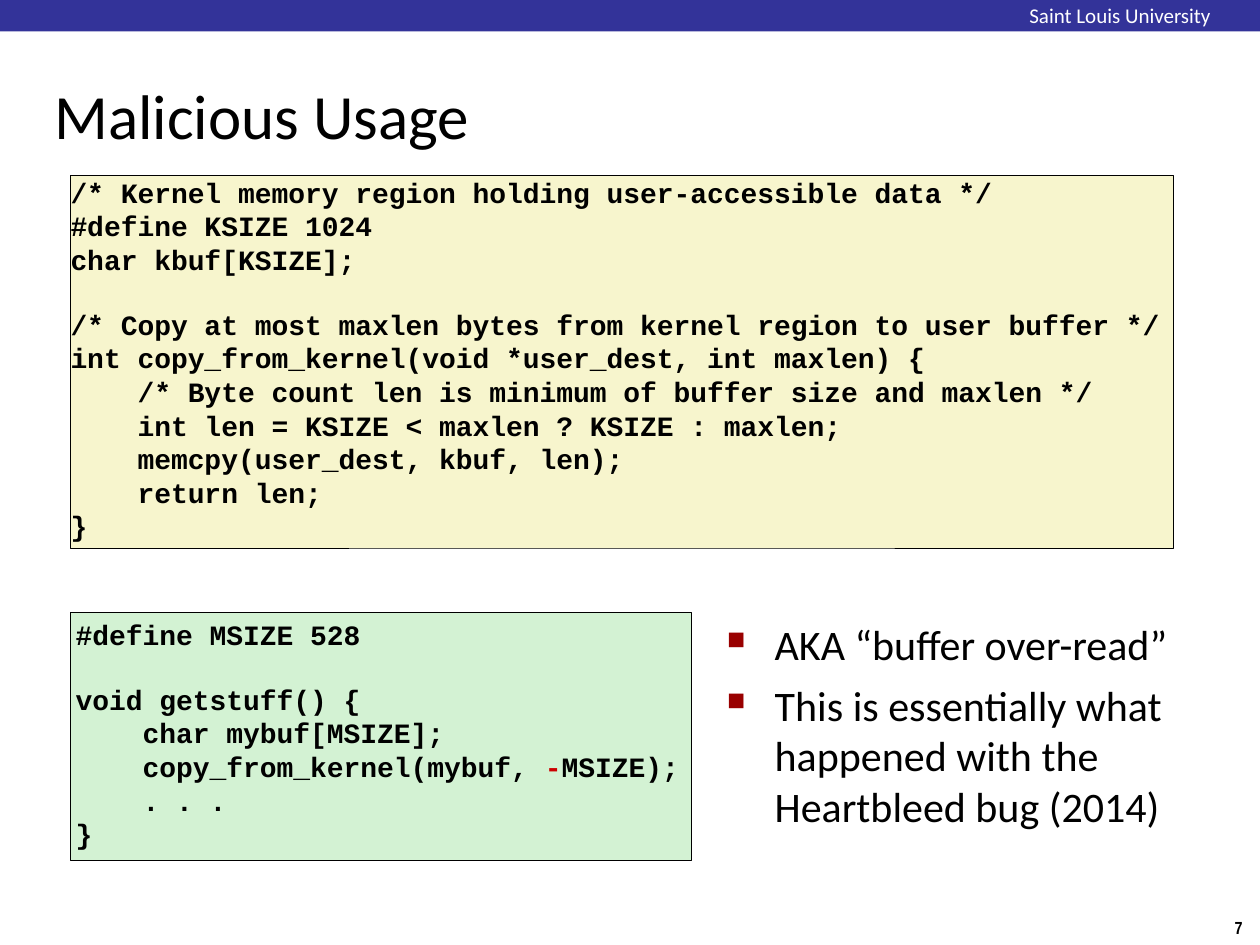
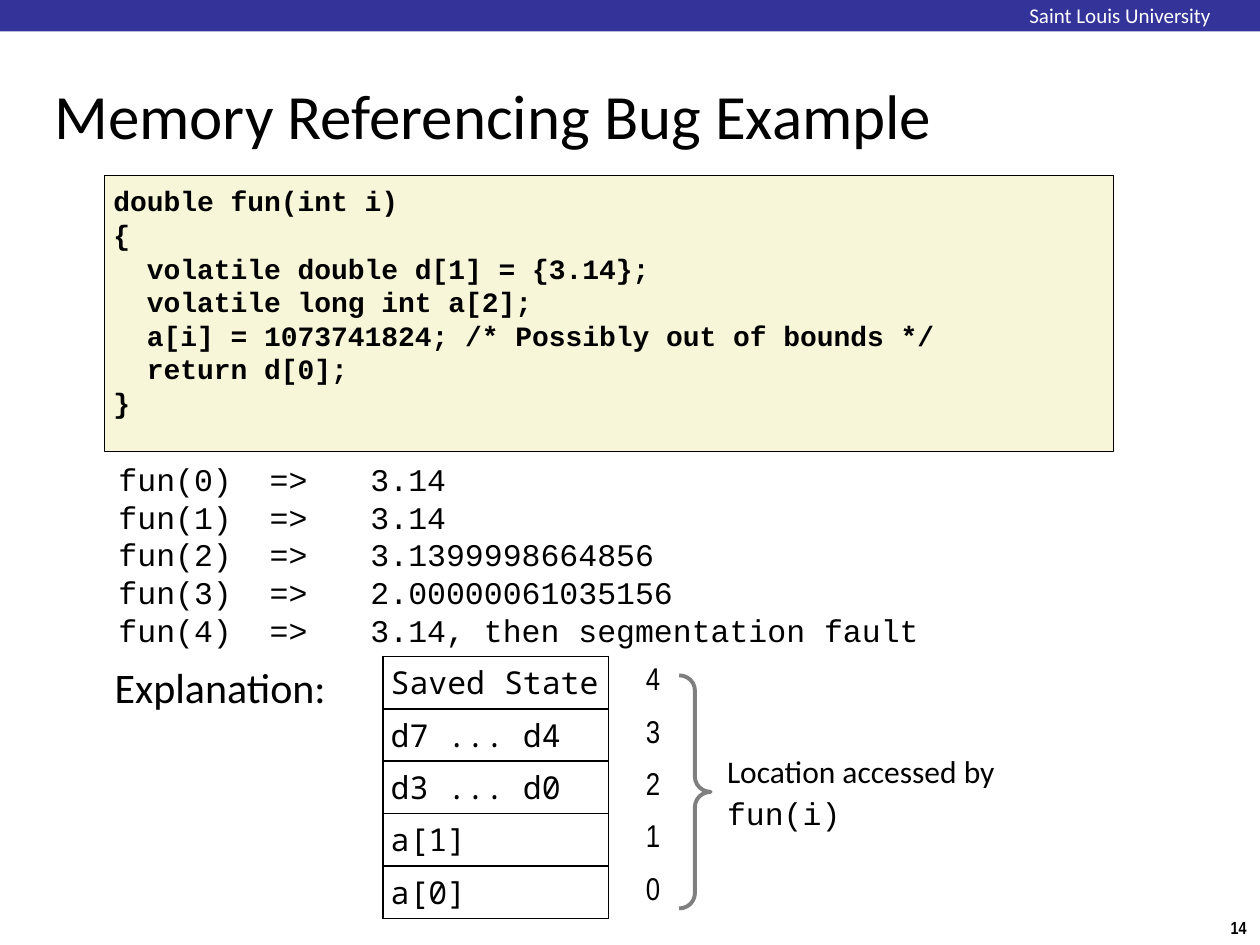
from dataclasses import dataclass
from typing import Optional

from lxml import etree
from pptx import Presentation
from pptx import util as u
from pptx.dml.color import RGBColor
from pptx.enum import shapes, text
from pptx.oxml import ns


@dataclass(frozen=True)
class Theme:
    ink: str = "000000"
    white: str = "FFFFFF"
    band: str = "333399"
    kernel: str = "F7F5CD"
    user: str = "D3F2D3"
    example: str = "F8F6D9"
    alert: str = "CC0000"
    bullet: str = "990000"
    brace: str = "7F7F7F"
    sans: str = "Calibri"
    narrow: str = "Arial Narrow"
    code: str = "Courier New"
    mono: str = "Noto Sans Mono"
    title_pt: int = 36
    body_pt: int = 24
    label_pt: int = 18
    code_pt: int = 16
    header_pt: int = 12
    number_pt: int = 10


T = Theme()


@dataclass(frozen=True)
class Style:
    size: int
    font: str = T.sans
    color: str = T.ink
    bold: bool = False


TITLE = Style(T.title_pt)
BODY = Style(T.body_pt)
LABEL = Style(T.label_pt)
HEADER = Style(T.header_pt, color=T.white)
NUMBER = Style(T.number_pt, T.narrow, bold=True)
CODE = Style(T.code_pt, T.code, bold=True)
ALERT = Style(T.code_pt, T.code, T.alert, True)
OUTPUT = Style(T.label_pt, T.code)
CELL = Style(T.label_pt, T.mono)
INDEX = Style(T.label_pt, T.narrow)


@dataclass(frozen=True)
class Box:
    left: float
    top: float
    width: float
    height: float

    def place(self):
        return [u.Inches(v) for v in (self.left, self.top, self.width, self.height)]


@dataclass(frozen=True)
class Panel:
    box: Box
    fill: str
    inset: float
    source: str
    outlined: bool = True
    style: Style = CODE
    marker: Optional[str] = None


KERNEL_CODE = """/* Kernel memory region holding user-accessible data */
#define KSIZE 1024
char kbuf[KSIZE];

/* Copy at most maxlen bytes from kernel region to user buffer */
int copy_from_kernel(void *user_dest, int maxlen) {
    /* Byte count len is minimum of buffer size and maxlen */
    int len = KSIZE < maxlen ? KSIZE : maxlen;
    memcpy(user_dest, kbuf, len);
    return len;
}"""

USER_CODE = """#define MSIZE 528

void getstuff() {
    char mybuf[MSIZE];
    copy_from_kernel(mybuf, -MSIZE);
    . . .
}"""

FUN_CODE = """double fun(int i)
{
  volatile double d[1] = {3.14};
  volatile long int a[2];
  a[i] = 1073741824; /* Possibly out of bounds */
  return d[0];
}"""

FUN_RESULTS = ("3.14", "3.14", "3.1399998664856", "2.00000061035156",
               "3.14, then segmentation fault")
FUN_OUTPUT = "\n".join(f"fun({i})  =>\t{result}" for i, result in enumerate(FUN_RESULTS))

STACK = ("Saved State", "d7 ... d4", "d3 ... d0", "a[1]", "a[0]")


def add_run(p, words: str, style: Style) -> None:
    r = p.add_run()
    r.text = words
    r.font.size = u.Pt(style.size)
    r.font.name = style.font
    r.font.bold = style.bold
    r.font.color.rgb = RGBColor.from_string(style.color)


def set_frame(tf, inset: float, anchor=text.MSO_ANCHOR.TOP, wrap: bool = True) -> None:
    tf.word_wrap = wrap
    tf.auto_size = text.MSO_AUTO_SIZE.NONE
    tf.vertical_anchor = anchor
    tf.margin_left = tf.margin_right = u.Inches(inset)
    tf.margin_top = tf.margin_bottom = u.Inches(inset)


def set_indent(p, inches: float) -> None:
    pr = p._p.get_or_add_pPr()
    pr.set("marL", str(u.Inches(inches)))
    pr.set("indent", str(-u.Inches(inches)))


def add_child(parent, tag: str, **attrs: str):
    return etree.SubElement(parent, ns.qn(tag), attrs)


def add_bullet(p) -> None:
    pr = p._p.get_or_add_pPr()
    add_child(add_child(pr, "a:buClr"), "a:srgbClr", val=T.bullet)
    add_child(pr, "a:buSzPct", val="60000")
    add_child(pr, "a:buChar", char="■")


def add_text(s, box: Box, words: str, style: Style, inset: float = 0.0,
             align=text.PP_ALIGN.LEFT, wrap: bool = True):
    tf = s.shapes.add_textbox(*box.place()).text_frame
    set_frame(tf, inset, wrap=wrap)
    p = tf.paragraphs[0]
    p.alignment = align
    add_run(p, words, style)
    return p


def add_rect(s, box: Box, fill: str, outlined: bool = False):
    sp = s.shapes.add_shape(shapes.MSO_SHAPE.RECTANGLE, *box.place())
    sp.shadow.inherit = False
    sp.fill.solid()
    sp.fill.fore_color.rgb = RGBColor.from_string(fill)
    if outlined:
        sp.line.color.rgb = RGBColor.from_string(T.ink)
        sp.line.width = u.Pt(0.5)
    else:
        sp.line.fill.background()
    return sp


def add_panel(s, panel: Panel) -> None:
    tf = add_rect(s, panel.box, panel.fill, panel.outlined).text_frame
    set_frame(tf, panel.inset)
    p, gap = tf.paragraphs[0], 0
    for i, line in enumerate(panel.source.split("\n")):
        if not line:
            gap = 18
            continue
        if i:
            p = tf.add_paragraph()
        p.alignment = text.PP_ALIGN.LEFT
        if gap:
            p.space_before = u.Pt(gap)
            gap = 0
        if panel.marker and panel.marker in line:
            before, after = line.split(panel.marker)
            add_run(p, before, panel.style)
            add_run(p, panel.marker, ALERT)
            add_run(p, after, panel.style)
        else:
            add_run(p, line, panel.style)


def add_bullets(s, box: Box, items: tuple[str, ...]) -> None:
    tf = s.shapes.add_textbox(*box.place()).text_frame
    set_frame(tf, 0.05)
    tf.margin_left = tf.margin_right = u.Inches(0.1)
    for i, item in enumerate(items):
        p = tf.add_paragraph() if i else tf.paragraphs[0]
        set_indent(p, 0.38)
        add_bullet(p)
        if i:
            p.space_before = u.Pt(6)
        add_run(p, item, BODY)


def set_borders(cell, visible: str) -> None:
    pr = cell._tc.get_or_add_tcPr()
    for side in "LRTB":
        ln = add_child(pr, f"a:ln{side}", w=str(u.Pt(1)))
        if side in visible:
            add_child(add_child(ln, "a:solidFill"), "a:srgbClr", val=T.ink)
        else:
            add_child(ln, "a:noFill")


def add_stack_table(s, box: Box) -> None:
    tbl = s.shapes.add_table(len(STACK), 2, *box.place()).table
    tbl.first_row = tbl.horz_banding = False
    for col, width in zip(tbl.columns, (1.79, 0.47)):
        col.width = u.Inches(width)
    for i, name in enumerate(STACK):
        columns = ((name, CELL, text.PP_ALIGN.LEFT, "LRTB"),
                   (str(len(STACK) - 1 - i), INDEX, text.PP_ALIGN.RIGHT, "L"))
        for j, (words, style, align, borders) in enumerate(columns):
            cell = tbl.cell(i, j)
            cell.vertical_anchor = text.MSO_ANCHOR.MIDDLE
            cell.margin_left = cell.margin_right = u.Inches(0.06)
            cell.margin_top = cell.margin_bottom = u.Inches(0.03)
            set_borders(cell, borders)
            cell.fill.background()
            p = cell.text_frame.paragraphs[0]
            p.alignment = align
            add_run(p, words, style)


def add_brace(s, box: Box) -> None:
    sp = s.shapes.add_shape(shapes.MSO_SHAPE.RIGHT_BRACE, *box.place())
    sp.shadow.inherit = False
    sp.adjustments[0] = 0.48
    sp.fill.background()
    sp.line.color.rgb = RGBColor.from_string(T.brace)
    sp.line.width = u.Pt(2.25)


def add_slide(prs, title: str, number: int):
    s = prs.slides.add_slide(prs.slide_layouts[5])
    sp = s.shapes.title
    sp.left, sp.top, sp.width, sp.height = Box(0.39, 0.06, 8.3, 1.69).place()
    set_frame(sp.text_frame, 0.04, text.MSO_ANCHOR.MIDDLE)
    p = sp.text_frame.paragraphs[0]
    p.alignment = text.PP_ALIGN.LEFT
    set_indent(p, 0.13)
    add_run(p, title, TITLE)
    add_rect(s, Box(0, 0, 10, 0.25), T.band)
    add_text(s, Box(8.17, 0.02, 1.67, 0.19), "Saint Louis University", HEADER)
    add_text(s, Box(9.66, 7.23, 0.34, 0.27), str(number), NUMBER, 0.05,
             text.PP_ALIGN.CENTER, wrap=False)
    return s


def build_malicious_usage(prs) -> None:
    s = add_slide(prs, "Malicious Usage", 7)
    add_panel(s, Panel(Box(0.56, 1.39, 8.75, 2.96), T.kernel, 0, KERNEL_CODE))
    add_panel(s, Panel(Box(0.56, 4.86, 4.93, 1.97), T.user, 0.04, USER_CODE, marker="-"))
    add_bullets(s, Box(5.67, 4.86, 3.92, 2.61), (
        "AKA “buffer over-read”",
        "This is essentially what happened with the Heartbleed bug (2014)"))


def build_bug_example(prs) -> None:
    s = add_slide(prs, "Memory Referencing Bug Example", 14)
    add_panel(s, Panel(Box(0.83, 1.39, 8.01, 2.19), T.example, 0.07, FUN_CODE))
    add_panel(s, Panel(Box(0.9, 3.61, 8.01, 1.5), T.white, 0.04, FUN_OUTPUT, False, OUTPUT))
    add_text(s, Box(0.91, 5.25, 1.82, 0.49), "Explanation:", BODY)
    add_stack_table(s, Box(3.04, 5.21, 2.26, 2.08))
    add_brace(s, Box(5.39, 5.36, 0.25, 1.85))
    p = add_text(s, Box(5.73, 5.9, 2.32, 0.71), "Location accessed by ", LABEL, 0.04)
    p.line_spacing = 1.1
    add_run(p, "fun(i)", OUTPUT)


def main() -> None:
    prs = Presentation()
    prs.slide_width, prs.slide_height = u.Inches(10), u.Inches(7.5)
    build_malicious_usage(prs)
    build_bug_example(prs)
    prs.save("out.pptx")


if __name__ == "__main__":
    main()
